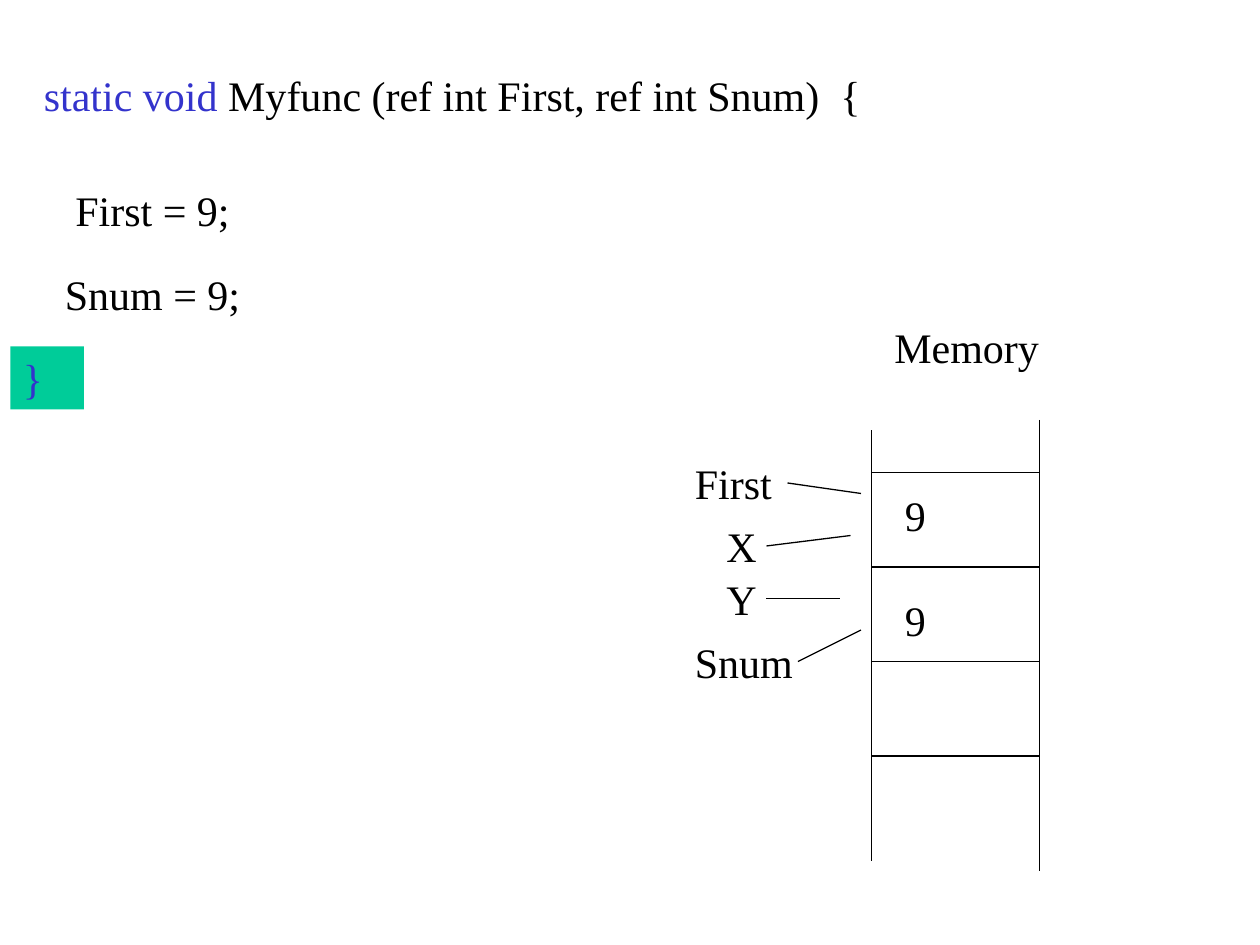
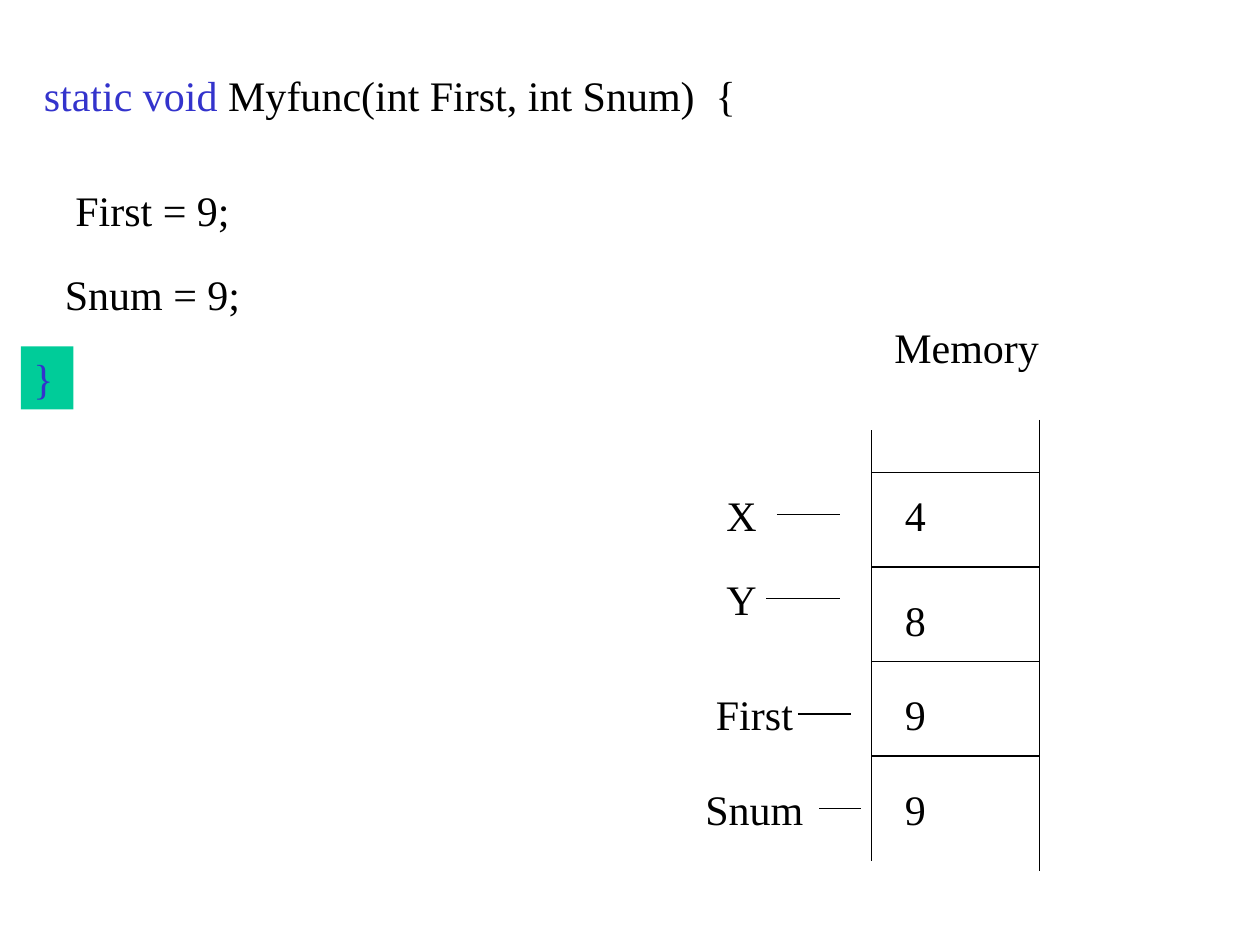
from dataclasses import dataclass

from lxml import etree
from pptx import Presentation
from pptx.dml.color import RGBColor
from pptx.enum.shapes import MSO_CONNECTOR, MSO_SHAPE
from pptx.enum.text import MSO_ANCHOR, PP_ALIGN
from pptx.oxml.ns import qn
from pptx.shapes.autoshape import Shape
from pptx.slide import Slide
from pptx.util import Pt

STRAIGHT = MSO_CONNECTOR.STRAIGHT
RECTANGLE = MSO_SHAPE.RECTANGLE
TOP = MSO_ANCHOR.TOP
LEFT = PP_ALIGN.LEFT

BLACK = RGBColor(0x00, 0x00, 0x00)
KEYWORD_BLUE = RGBColor(0x33, 0x33, 0xCC)
BRACE_GREEN = RGBColor(0x00, 0xCC, 0x99)

FONT = "Times New Roman"
FONT_SIZE = 24
LINE_WIDTH = 0.75
BOX_HEIGHT = 36

MEMORY_LEFT = 498
MEMORY_RIGHT = 594
FIRST_CELL_TOP = 270
CELL_HEIGHT = 54
CELL_BORDERS = 4
VALUE_LEFT = 510


@dataclass(frozen=True)
class Label:
    text: str
    left: float
    top: float
    width: float


@dataclass(frozen=True)
class Line:
    start_x: float
    start_y: float
    end_x: float
    end_y: float


@dataclass(frozen=True)
class Variable:
    label: Label
    pointer: Line


@dataclass(frozen=True)
class CallSlide:
    signature: Label
    brace: Label
    variables: tuple[Variable, ...]
    values: tuple[str, ...]


KEYWORDS = "static void "
STATEMENTS = (
    Label("First = 9;", 36, 102, 114),
    Label("Snum = 9;", 30, 150, 144),
)
MEMORY_TITLE = Label("Memory", 504, 180, 102)
MEMORY_SIDES = (
    Line(MEMORY_LEFT, 246, MEMORY_LEFT, 492),
    Line(MEMORY_RIGHT, 240, MEMORY_RIGHT, 498),
)
VALUE_SLOTS = ((276, 72), (336, 66), (390, 42), (444, 42))
VARIABLE_Y = Variable(Label("Y", 408, 324, 36), Line(438, 342, 480, 342))

CALL_SLIDES = (
    CallSlide(
        signature=Label("Myfunc (ref int First, ref int Snum)  {", 18, 36, 552),
        brace=Label("}", 6, 198, 42),
        variables=(
            Variable(Label("First", 390, 258, 60), Line(450, 276, 492, 282)),
            Variable(Label("X", 408, 294, 42), Line(438, 312, 486, 306)),
            VARIABLE_Y,
            Variable(Label("Snum", 390, 360, 72), Line(456, 378, 492, 360)),
        ),
        values=("9", "9"),
    ),
    CallSlide(
        signature=Label("Myfunc(int First, int Snum)  {", 18, 36, 450),
        brace=Label("}", 12, 198, 30),
        variables=(
            Variable(Label("X", 408, 276, 42), Line(444, 294, 480, 294)),
            VARIABLE_Y,
            Variable(Label("First", 402, 390, 60), Line(456, 408, 486, 408)),
            Variable(Label("Snum", 396, 444, 72), Line(468, 462, 492, 462)),
        ),
        values=("4", "8", "9", "9"),
    ),
)


def write_text(shape: Shape, text: str, color: RGBColor) -> None:
    frame = shape.text_frame
    frame.word_wrap = True
    frame.vertical_anchor = TOP
    paragraph = frame.paragraphs[0]
    paragraph.alignment = LEFT
    paragraph.font.name = FONT
    paragraph.font.size = Pt(FONT_SIZE)
    paragraph.font.color.rgb = color
    paragraph.add_run().text = text


def add_label(slide: Slide, label: Label, color: RGBColor = BLACK) -> Shape:
    shape = slide.shapes.add_textbox(
        Pt(label.left), Pt(label.top), Pt(label.width), Pt(BOX_HEIGHT)
    )
    write_text(shape, label.text, color)
    return shape


def add_line(slide: Slide, line: Line) -> None:
    connector = slide.shapes.add_connector(
        STRAIGHT, Pt(line.start_x), Pt(line.start_y), Pt(line.end_x), Pt(line.end_y)
    )
    connector.line.color.rgb = BLACK
    connector.line.width = Pt(LINE_WIDTH)
    properties = connector._element.find(qn("p:spPr"))
    etree.SubElement(properties, qn("a:effectLst"))


def add_signature(slide: Slide, signature: Label) -> None:
    shape = add_label(slide, signature)
    paragraph = shape.text_frame.paragraphs[0]
    paragraph.runs[0].text = KEYWORDS
    paragraph.runs[0].font.color.rgb = KEYWORD_BLUE
    paragraph.add_run().text = signature.text


def add_brace(slide: Slide, brace: Label) -> None:
    shape = slide.shapes.add_shape(
        RECTANGLE, Pt(brace.left), Pt(brace.top), Pt(brace.width), Pt(BOX_HEIGHT)
    )
    shape.shadow.inherit = False
    shape.fill.solid()
    shape.fill.fore_color.rgb = BRACE_GREEN
    shape.line.fill.background()
    write_text(shape, brace.text, KEYWORD_BLUE)


def add_memory(slide: Slide, values: tuple[str, ...]) -> None:
    add_label(slide, MEMORY_TITLE)
    for side in MEMORY_SIDES:
        add_line(slide, side)
    for index in range(CELL_BORDERS):
        y = FIRST_CELL_TOP + index * CELL_HEIGHT
        add_line(slide, Line(MEMORY_LEFT, y, MEMORY_RIGHT, y))
    for value, (top, width) in zip(values, VALUE_SLOTS):
        add_label(slide, Label(value, VALUE_LEFT, top, width))


def add_call_slide(slide: Slide, call: CallSlide) -> None:
    add_memory(slide, call.values)
    for variable in call.variables:
        add_label(slide, variable.label)
        add_line(slide, variable.pointer)
    add_signature(slide, call.signature)
    add_brace(slide, call.brace)
    for statement in STATEMENTS:
        add_label(slide, statement)


def main() -> None:
    presentation = Presentation()
    presentation.slide_width = Pt(720)
    presentation.slide_height = Pt(540)
    blank_layout = presentation.slide_layouts[6]
    for call in CALL_SLIDES:
        add_call_slide(presentation.slides.add_slide(blank_layout), call)
    presentation.save("out.pptx")


if __name__ == "__main__":
    main()
